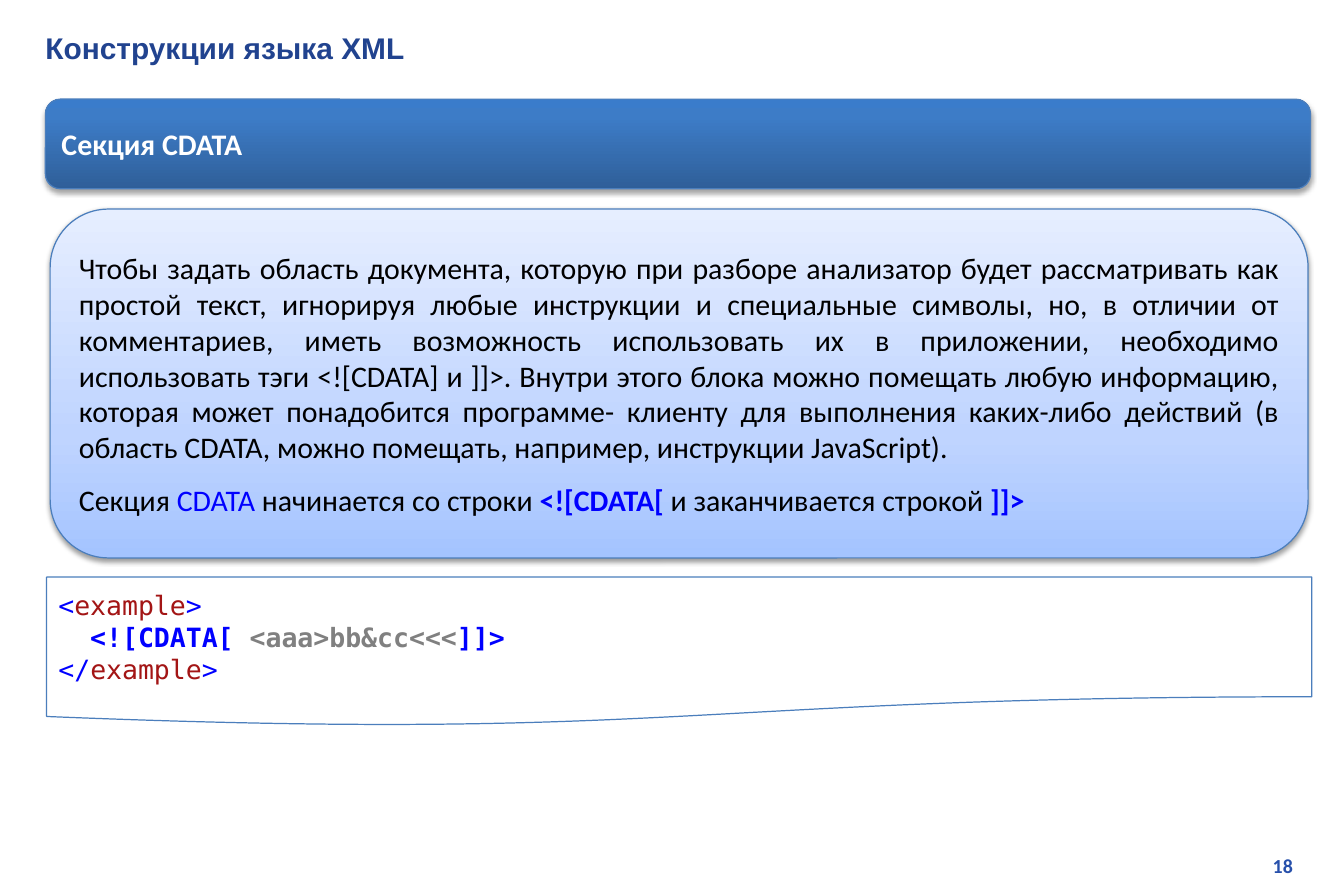
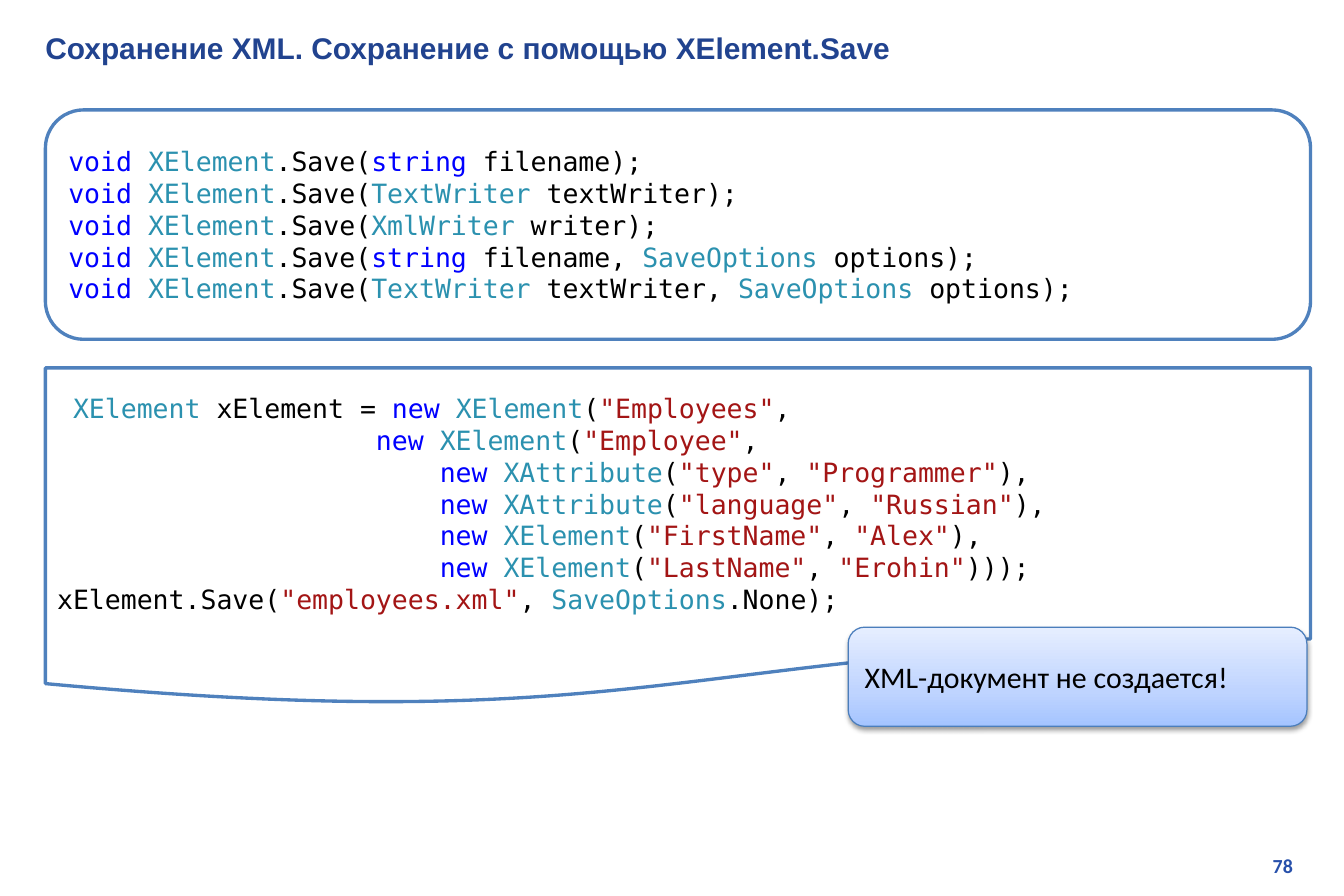
from itertools import groupby

from pptx import Presentation
from pptx.dml.color import RGBColor
from pptx.enum.shapes import MSO_SHAPE
from pptx.enum.text import MSO_ANCHOR, PP_ALIGN
from pptx.oxml import parse_xml
from pptx.oxml.ns import nsdecls, qn
from pptx.util import Inches, Pt

COLORS = {
    "white": "FFFFFF", "black": "000000", "title": "21438F", "number": "2750AB",
    "edge": "4B7EBC", "frame": "4F81BD", "blue": "0000FF", "type": "2B91AF",
    "string": "A31515", "gray": "808080",
}
# Gradient stops run from the bottom of a panel to its top
HEADER = {0: "2F5F99", 80: "3D7CC7", 100: "3A7CCB"}
PALE = {0: "A4C4FF", 35: "BFD4FF", 100: "E6EEFF"}
SANS, MONO = "Calibri", "DejaVu Sans Mono"
LEFT, WIDTH = 0.38, 10.59

WORDS = dict.fromkeys(["void", "string", "new"], "blue") | dict.fromkeys(
    ["XElement", "XAttribute", "TextWriter", "XmlWriter", "SaveOptions"], "type")

BODY = [
    [("Чтобы задать область документа, которую при разборе анализатор будет "
      "рассматривать как простой текст, игнорируя любые инструкции и специальные "
      "символы, но, в отличии от комментариев, иметь возможность использовать их в "
      "приложении, необходимо использовать тэги <![CDATA] и ]]>. Внутри этого блока "
      "можно помещать любую информацию, которая может понадобится программе- клиенту "
      "для выполнения каких-либо действий (в область CDATA, можно помещать, например, "
      "инструкции JavaScript).", "black")],
    [("Секция ", "black"), ("CDATA", "blue"), (" начинается со строки ", "black"),
     ("<![CDATA[ ", "blue", True), ("и заканчивается строкой ", "black"),
     ("]]>", "blue", True)],
]
EXAMPLE = [
    [("<", "blue"), ("example", "string"), (">", "blue")],
    [("  <![CDATA[", "blue", True), (" <aaa>bb&cc<<<", "gray", True),
     ("]]>", "blue", True)],
    [("</", "blue"), ("example", "string"), (">", "blue")],
]
METHODS = """\
void XElement.Save(string filename);
void XElement.Save(TextWriter textWriter);
void XElement.Save(XmlWriter writer);
void XElement.Save(string filename, SaveOptions options);
void XElement.Save(TextWriter textWriter, SaveOptions options);"""
USAGE = """\
 XElement xElement = new XElement("Employees",
                    new XElement("Employee",
                        new XAttribute("type", "Programmer"),
                        new XAttribute("language", "Russian"),
                        new XElement("FirstName", "Alex"),
                        new XElement("LastName", "Erohin")));
xElement.Save("employees.xml", SaveOptions.None);"""


def rgb(name):
    return RGBColor.from_string(COLORS[name])


def tokens(line):
    """Split a code line into words, marks and quoted strings with colours."""
    for index, part in enumerate(line.split('"')):
        if index % 2:
            yield f'"{part}"', "string"
        else:
            for _, chars in groupby(part, str.isalnum):
                word = "".join(chars)
                yield word, WORDS.get(word, "black")


def color_code(code):
    return [[("".join(word for word, _ in group), color)
             for color, group in groupby(tokens(line), lambda token: token[1])]
            for line in code.splitlines()]


def write(frame, lines, font, size, align=PP_ALIGN.LEFT, gap=0):
    """Fill a frame with lines of (text, colour, bold) runs."""
    frame.word_wrap = True
    for index, line in enumerate(lines):
        para = frame.add_paragraph() if index else frame.paragraphs[0]
        para.alignment = align
        if gap and index < len(lines) - 1:
            para.space_after = Pt(gap)
        for text, color, *bold in line:
            run = para.add_run()
            run.text = text
            run.font.name, run.font.size = font, Pt(size)
            run.font.bold = bool(bold)
            run.font.color.rgb = rgb(color)


def add_box(slide, kind, place, edge="edge", weight=0.75):
    box = slide.shapes.add_shape(kind, *map(Inches, place))
    box.shadow.inherit = False
    box.fill.solid()
    box.fill.fore_color.rgb = rgb("white")
    box.line.color.rgb = rgb(edge)
    box.line.width = Pt(weight)
    box.text_frame.vertical_anchor = MSO_ANCHOR.MIDDLE
    return box


def add_panel(slide, place, stops, lines, gap=0, dist=1.6, alpha=38):
    """Rounded box with a vertical gradient and a soft shadow."""
    box = add_box(slide, MSO_SHAPE.ROUNDED_RECTANGLE, place)
    box.fill.gradient()
    box.fill.gradient_angle = 90
    props = box._element.spPr
    ramp = props.find(qn("a:gradFill")).find(qn("a:gsLst"))
    for stop in list(ramp):
        ramp.remove(stop)
    for pos, color in stops.items():
        ramp.append(parse_xml(
            f'<a:gs {nsdecls("a")} pos="{pos * 1000}"><a:srgbClr val="{color}"/></a:gs>'))
    props.find(qn("a:effectLst")).append(parse_xml(
        f'<a:outerShdw {nsdecls("a")} blurRad="{Pt(3.1)}" dist="{Pt(dist)}" '
        f'dir="5400000" rotWithShape="0"><a:srgbClr val="{COLORS["black"]}">'
        f'<a:alpha val="{alpha * 1000}"/></a:srgbClr></a:outerShdw>'))
    write(box.text_frame, lines, SANS, 18, PP_ALIGN.JUSTIFY, gap)


def add_code(slide, kind, place, lines, **border):
    box = add_box(slide, kind, place, **border)
    write(box.text_frame, lines, MONO, 16)


def add_slide(deck, title, number):
    """Title-only slide with the shared title style and page number."""
    slide = deck.slides.add_slide(deck.slide_layouts[5])
    head = slide.shapes.title
    head.left, head.top, head.width, head.height = map(Inches, (0.28, 0.2, 10.74, 0.4))
    head.text_frame.vertical_anchor = MSO_ANCHOR.MIDDLE
    write(head.text_frame, [[(title, "title", True)]], "Arial", 18)
    foot = slide.shapes.add_textbox(*map(Inches, (8.54, 7.1, 2.38, 0.3)))
    write(foot.text_frame, [[(number, "number", True)]], SANS, 12, PP_ALIGN.RIGHT)
    return slide


def main():
    deck = Presentation()
    deck.slide_width, deck.slide_height = Inches(11.25), Inches(7.5)

    # CDATA section
    slide = add_slide(deck, "Конструкции языка XML", "18")
    add_panel(slide, (LEFT, 0.83, WIDTH, 0.75), HEADER,
              [[("Секция CDATA", "white", True)]], dist=1.8, alpha=35)
    add_panel(slide, (0.42, 1.75, 10.53, 2.92), PALE, BODY, gap=10)
    add_code(slide, MSO_SHAPE.FLOWCHART_DOCUMENT, (0.39, 4.83, WIDTH, 1.25), EXAMPLE)

    # Saving with XElement.Save
    slide = add_slide(deck, "Сохранение XML. Сохранение с помощью XElement.Save", "78")
    border = {"edge": "frame", "weight": 2}
    add_code(slide, MSO_SHAPE.FLOWCHART_DOCUMENT, (LEFT, 3.08, WIDTH, 2.83),
             color_code(USAGE), **border)
    add_code(slide, MSO_SHAPE.ROUNDED_RECTANGLE, (LEFT, 0.92, WIDTH, 1.92),
             color_code(METHODS), **border)
    add_panel(slide, (7.1, 5.25, 3.84, 0.83), PALE,
              [[("XML-документ не создается!", "black")]])

    deck.save("out.pptx")


if __name__ == "__main__":
    main()
